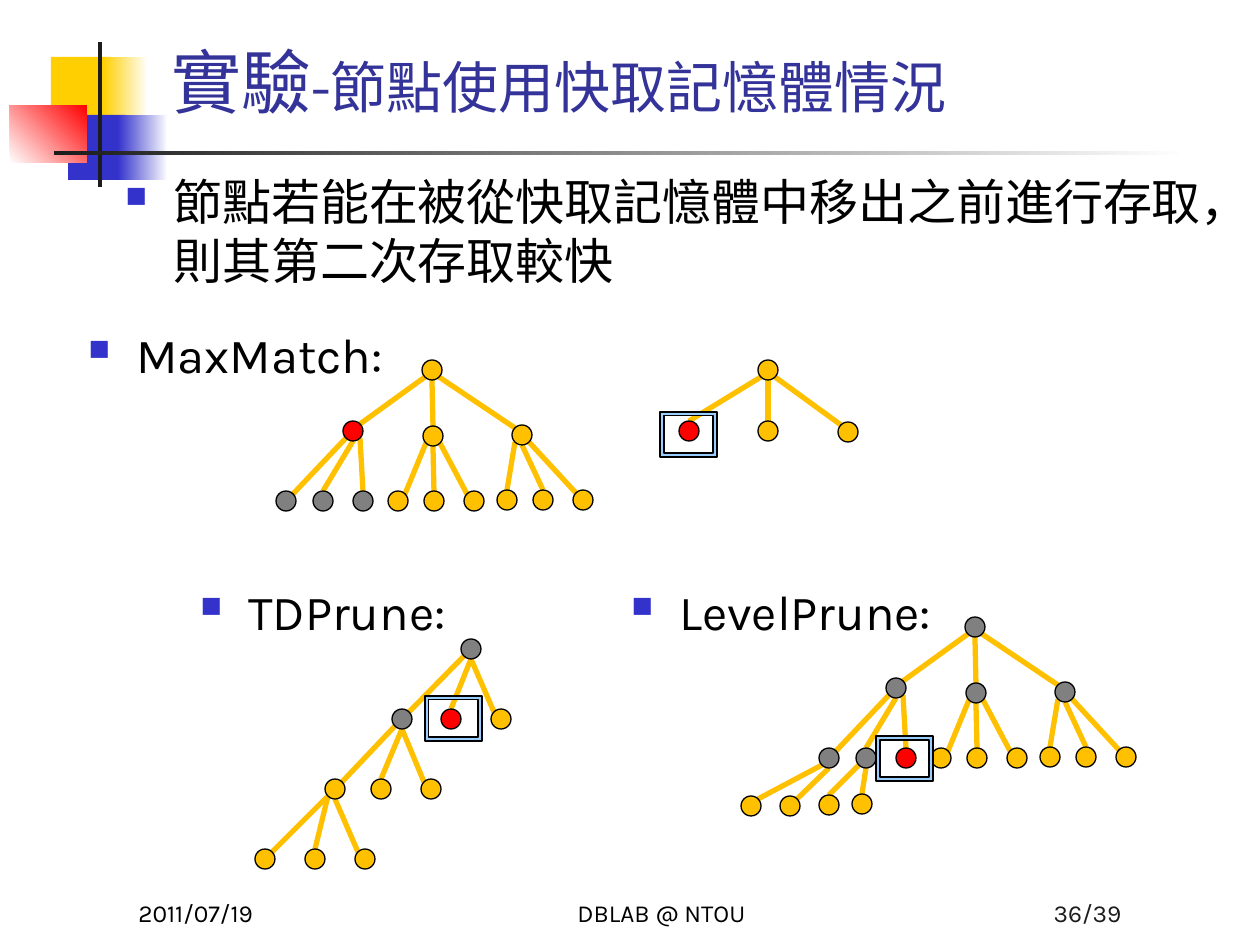
from lxml.etree import SubElement
from pptx import Presentation
from pptx.dml.color import RGBColor
from pptx.enum.shapes import MSO_CONNECTOR, MSO_SHAPE
from pptx.enum.text import MSO_ANCHOR, PP_ALIGN
from pptx.oxml.ns import qn
from pptx.util import Emu, Pt

PIXELS_PER_INCH = 126
YELLOW, GRAY, RED, BLUE = "FFC000", "808080", "FF0000", "3333CC"
BLACK, DARK, WHITE, GOLD = "000000", "1C1C1C", "FFFFFF", "FFCF01"
RADIUS = 10
SITES = {
    "top": (0, -10), "top left": (-7, -7), "top right": (7, -7),
    "bottom": (0, 10), "bottom left": (-7, 7), "bottom right": (7, 7),
}
FAN = [("bottom left", "top right"), ("bottom", "top"), ("bottom right", "top left")]
LEFT_FAN = [FAN[0], FAN[1], ("bottom right", "top")]
RIGHT_FAN = [("bottom left", "top"), FAN[1], FAN[2]]
NARROW_FAN = [FAN[0], FAN[1], ("bottom", "top left")]
LOW_FAN = [FAN[0], ("bottom left", "top"), ("bottom", "top left")]

FULL_TREE = [
    ((432, 370), [(353, 431), (433, 436), (522, 435)], FAN),
    ((353, 431), [(286, 501), (323, 501), (363, 501)], LEFT_FAN),
    ((433, 436), [(398, 501), (434, 501), (474, 501)], FAN),
    ((522, 435), [(507, 500), (543, 500), (583, 500)], RIGHT_FAN),
]
FOURTH_LEVEL = [
    ((286, 501), [(208, 549), (247, 549)], [FAN[0], ("bottom", "top right")]),
    ((323, 501), [(286, 548), (319, 547)], [("bottom left", "top"), FAN[1]]),
]
SMALL_TREE = [((768, 370), [(689, 431), (768, 431), (848, 432)], RIGHT_FAN)]
TOP_DOWN_TREE = [
    ((471, 649), [(402, 719), (451, 719), (501, 719)], NARROW_FAN),
    ((402, 719), [(335, 789), (381, 789), (431, 789)], NARROW_FAN),
    ((335, 789), [(265, 859), (315, 859), (365, 859)], LOW_FAN),
]


def px(length):
    """Turn pixels into EMU."""
    return Emu(round(length * 914400 / PIXELS_PER_INCH))


def color(code):
    """Turn a hex string into a colour."""
    return RGBColor.from_string(code)


def add_block(slide, kind, box, fill, outline=None):
    """Add a preset shape with a plain fill and an optional thin outline."""
    shape = slide.shapes.add_shape(kind, *map(px, box))
    shape.shadow.inherit = False
    shape.fill.solid()
    shape.fill.fore_color.rgb = color(fill)
    if outline:
        shape.line.color.rgb = color(outline)
        shape.line.width = Pt(0.75)
    else:
        shape.line.fill.background()
    return shape


def add_fade(slide, box, start, end, angle=0):
    """Add a rectangle that fades from one colour to another."""
    shape = add_block(slide, MSO_SHAPE.RECTANGLE, box, start)
    shape.fill.gradient()
    shape.fill.gradient_angle = angle
    for stop, code in zip(shape.fill.gradient_stops, (start, end)):
        stop.color.rgb = color(code)


def add_text(slide, box, runs, code=BLACK, font="Karla", align=PP_ALIGN.LEFT, anchor=MSO_ANCHOR.BOTTOM):
    """Add a text box holding one paragraph of (text, size) runs."""
    frame = slide.shapes.add_textbox(*map(px, box)).text_frame
    frame.word_wrap = True
    frame.vertical_anchor = anchor
    paragraph = frame.paragraphs[0]
    paragraph.alignment = align
    paragraph.font.name = font
    paragraph.font.color.rgb = color(code)
    for text, size in runs:
        run = paragraph.add_run()
        run.text = text
        run.font.size = Pt(size)
    return paragraph


def add_bullet(slide, box, text, font="Karla"):
    """Add a text box with one square-bulleted paragraph."""
    paragraph = add_text(slide, box, [(text, 28)], font=font, anchor=MSO_ANCHOR.TOP)
    properties = paragraph._p.get_or_add_pPr()
    properties.set("marL", str(px(48)))
    properties.set("indent", str(px(-48)))
    default_font = properties.find(qn("a:defRPr"))
    spacing = SubElement(properties, qn("a:spcBef"))
    SubElement(spacing, qn("a:spcPct"), val="20000")
    bullet_color = SubElement(properties, qn("a:buClr"))
    SubElement(bullet_color, qn("a:srgbClr"), val=BLUE)
    SubElement(properties, qn("a:buSzPct"), val="60000")
    SubElement(properties, qn("a:buChar"), char="■")
    properties.append(default_font)


def add_edge(slide, start, end):
    """Add a tree edge between two points."""
    edge = slide.shapes.add_connector(MSO_CONNECTOR.STRAIGHT, *map(px, start + end))
    edge.line.color.rgb = color(YELLOW)
    edge.line.width = Pt(3)
    SubElement(edge._element.spPr, qn("a:effectLst"))


def add_tree(slide, families, gray=(), red=(), shift=(0, 0)):
    """Add the edges and then the nodes of a tree."""
    def moved(point, offset=(0, 0)):
        """Shift a point by the tree's place and a site offset."""
        return tuple(map(sum, zip(point, shift, offset)))

    nodes = {}
    for parent, children, fan in families:
        nodes.update(dict.fromkeys([parent, *children]))
        for child, (begin, end) in zip(children, fan):
            add_edge(slide, moved(parent, SITES[begin]), moved(child, SITES[end]))
    for node in nodes:
        x, y = moved(node)
        fill = RED if node in red else GRAY if node in gray else YELLOW
        box = (x - RADIUS, y - RADIUS, 2 * RADIUS, 2 * RADIUS)
        add_block(slide, MSO_SHAPE.OVAL, box, fill, BLACK)


def add_highlight(slide, left, top):
    """Add the frame that marks a cached node."""
    frame = add_block(slide, MSO_SHAPE.FRAME, (left, top, 57, 45), "99CCFF", BLACK)
    frame.adjustments[0] = 0.086


def add_decoration(slide):
    """Add the coloured blocks and rules beside the title."""
    add_block(slide, MSO_SHAPE.RECTANGLE, (51, 57, 60, 65), GOLD)
    add_fade(slide, (103, 57, 45, 65), GOLD, WHITE)
    add_block(slide, MSO_SHAPE.RECTANGLE, (68, 115, 58, 65), BLUE)
    add_fade(slide, (118, 115, 50, 65), BLUE, WHITE)
    add_fade(slide, (10, 105, 77, 58), WHITE, RED, 45)
    add_block(slide, MSO_SHAPE.RECTANGLE, (98, 42, 4, 145), DARK)
    add_fade(slide, (54, 151, 1134, 4), DARK, WHITE)


def main():
    """Build the slide and save it."""
    presentation = Presentation()
    presentation.slide_width, presentation.slide_height = px(1260), px(945)
    slide = presentation.slides.add_slide(presentation.slide_layouts[6])

    add_decoration(slide)
    add_text(slide, (159, 21, 1074, 108), [("實驗", 40), ("-節點使用快取記憶體情況", 32)], "333399")
    add_text(slide, (462, 871, 399, 63), [("DBLAB @ NTOU", 14)], align=PP_ALIGN.CENTER)
    add_text(slide, (126, 871, 262, 63), [("2011/07/19", 14)])
    add_text(slide, (872, 871, 262, 63), [("36/39", 14)], DARK, align=PP_ALIGN.RIGHT)

    add_bullet(slide, (113, 165, 1111, 134),
               "節點若能在被從快取記憶體中移出之前進行存取，則其第二次存取較快", "Times New Roman")
    add_bullet(slide, (76, 318, 359, 86), "MaxMatch:")
    add_bullet(slide, (188, 575, 284, 86), "TDPrune:")
    add_bullet(slide, (619, 575, 359, 76), "LevelPrune:")

    add_tree(slide, FULL_TREE, gray=FULL_TREE[1][1], red=[(353, 431)])
    add_tree(slide, SMALL_TREE, red=[(689, 431)])
    add_tree(slide, TOP_DOWN_TREE, gray=[(471, 649), (402, 719)], red=[(451, 719)])
    inner_nodes = [parent for parent, _, _ in FULL_TREE + FOURTH_LEVEL]
    add_tree(slide, FULL_TREE + FOURTH_LEVEL, inner_nodes, [(363, 501)], (543, 257))
    for left, top in [(660, 412), (425, 696), (876, 736)]:
        add_highlight(slide, left, top)

    presentation.save("out.pptx")


if __name__ == "__main__":
    main()
